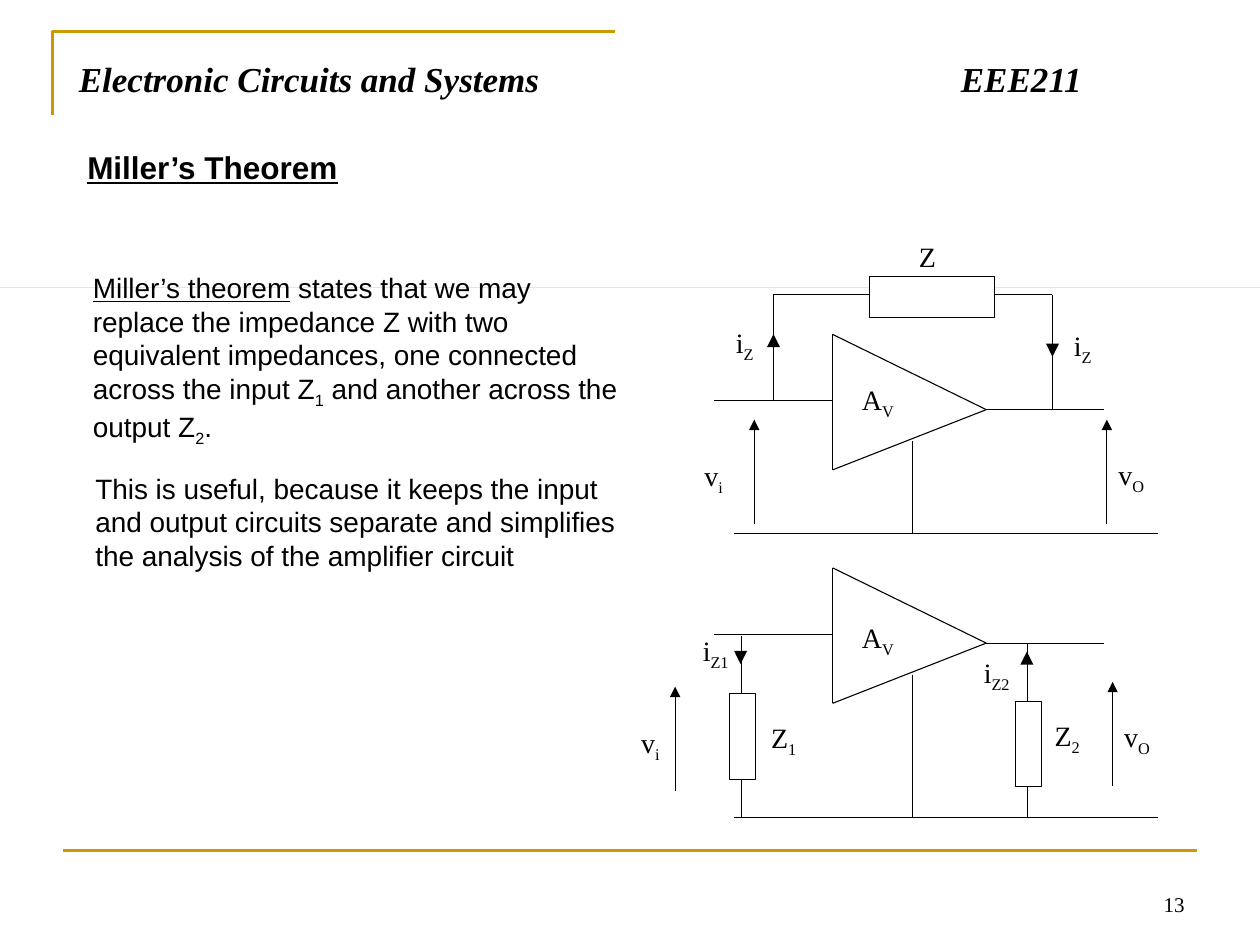
from dataclasses import dataclass

from lxml.etree import SubElement
from pptx import Presentation
from pptx.dml.color import RGBColor
from pptx.enum.shapes import MSO_CONNECTOR, MSO_SHAPE
from pptx.enum.text import MSO_ANCHOR, PP_ALIGN
from pptx.oxml.ns import qn
from pptx.util import Pt


@dataclass(frozen=True)
class Theme:
    ink: RGBColor = RGBColor(0, 0, 0)
    paper: RGBColor = RGBColor(255, 255, 255)
    gold: RGBColor = RGBColor(0xCC, 0x99, 0x00)
    blue: RGBColor = RGBColor(0x00, 0x33, 0xCC)
    serif: str = "Times New Roman"
    sans: str = "Arial"
    title: int = 20
    head: int = 18
    body: int = 16
    small: int = 12
    thin: float = 0.63
    thick: float = 1.5


THEME = Theme()
SUB = "sub"
LINE = "line"


def add_text(slide, box, runs, size, font, bold=False, slant=False, inset=True):
    """Runs are (text, mark) pairs; the mark is None, SUB or LINE."""
    frame = slide.shapes.add_textbox(*map(Pt, box)).text_frame
    frame.word_wrap = True
    if not inset:
        frame.margin_left = frame.margin_right = 0
        frame.margin_top = frame.margin_bottom = 0
    para = frame.paragraphs[0]
    for text, mark in runs:
        run = para.add_run()
        run.text = text
        run.font.name, run.font.size = font, Pt(size)
        run.font.color.rgb = THEME.ink
        run.font.bold, run.font.italic = bold, slant
        run.font.underline = mark == LINE
        if mark == SUB:
            run._r.get_or_add_rPr().set("baseline", "-25000")
    return frame


def add_label(slide, x, y, base, sub=None, width=18):
    runs = [(base, None)] + ([(sub, SUB)] if sub else [])
    add_text(slide, (x, y, width, 19.4), runs, THEME.body, THEME.serif, inset=False)


def add_wire(slide, *points, color=THEME.ink, width=THEME.thin):
    """Join the points with straight lines and return the last one."""
    for start, end in zip(points, points[1:]):
        line = slide.shapes.add_connector(MSO_CONNECTOR.STRAIGHT, *map(Pt, start + end))
        line.line.color.rgb = color
        line.line.width = Pt(width)
        SubElement(line._element.spPr, qn("a:effectLst"))
    return line


def add_arrow(slide, x, top):
    line = add_wire(slide, (x, top), (x, top + 59.8))
    SubElement(line._element.spPr.get_or_add_ln(), qn("a:headEnd"), type="triangle")


def add_tip(slide, x, y, side):
    """Solid arrow tip at x, y; side is 1 for down and -1 for up."""
    back = y - side * 7.4
    pen = slide.shapes.build_freeform(Pt(x - 3.7), Pt(back))
    pen.add_line_segments([(Pt(x), Pt(y)), (Pt(x + 3.7), Pt(back))], close=True)
    tip = pen.convert_to_shape()
    tip.shadow.inherit = False
    tip.fill.solid()
    tip.fill.fore_color.rgb = THEME.ink
    tip.line.fill.background()


def add_block(slide, box, fill=THEME.paper, edge=True):
    block = slide.shapes.add_shape(MSO_SHAPE.RECTANGLE, *map(Pt, box))
    block.shadow.inherit = False
    block.fill.solid()
    block.fill.fore_color.rgb = fill
    if edge:
        block.line.color.rgb = THEME.ink
        block.line.width = Pt(THEME.thin)
    else:
        block.line.fill.background()


def add_amp(slide, top, ground, label):
    """Triangle with its input, output and ground wires."""
    tip = (563.6, top + 43)
    add_wire(slide, (475.8, top), tip, (475.8, top + 77.4), (475.8, top))
    add_wire(slide, (408.2, top + 38), (475.8, top + 38))
    add_wire(slide, tip, (631, top + 43))
    add_wire(slide, (521.2, top + 61), (521.2, ground))
    add_wire(slide, (419.5, ground), (661.7, ground))
    add_label(slide, 492.5, label, "A", "V", width=24)


def add_branch(slide, x, top, ground, block):
    """Vertical wire through an impedance, down to ground."""
    add_wire(slide, (x, top), (x, ground))
    add_block(slide, (x - 6.8, block, 15, 49))


def draw_frame(slide):
    pen = slide.shapes.build_freeform(Pt(30), Pt(66))
    pen.add_line_segments([(Pt(30), Pt(18)), (Pt(351.4), Pt(18))], close=False)
    corner = pen.convert_to_shape()
    corner.shadow.inherit = False
    corner.fill.background()
    corner.line.color.rgb = THEME.gold
    corner.line.width = Pt(THEME.thick)
    add_wire(slide, (36, 486), (684, 486), color=THEME.gold, width=THEME.thick)

    page = add_text(slide, (516, 491.6, 168, 36), [("13", None)], THEME.small, THEME.serif)
    page.vertical_anchor = MSO_ANCHOR.BOTTOM
    page.paragraphs[0].alignment = PP_ALIGN.RIGHT

    title = add_text(slide, (38, 29.3, 642, 44),
                     [("Electronic Circuits and Systems\tEEE211", None)],
                     THEME.title, THEME.serif, bold=True, slant=True)
    tabs = SubElement(title.paragraphs[0]._p.get_or_add_pPr(), qn("a:tabLst"))
    SubElement(tabs, qn("a:tab"), pos=str(Pt(504)), algn="l")
    add_block(slide, (0, 164.2, 720, 0), THEME.blue, edge=False)


def draw_prose(slide):
    add_text(slide, (42.8, 81, 544, 29), [("Miller’s Theorem", LINE)],
             THEME.head, THEME.sans, bold=True)
    add_text(slide, (47.4, 265.8, 314.6, 65), [(
        "This is useful, because it keeps the input and output circuits "
        "separate and simplifies the analysis of the amplifier circuit", None)],
        THEME.body, THEME.sans)
    add_text(slide, (46, 151, 314.6, 104), [
        ("Miller’s theorem", LINE),
        (" states that we may replace the impedance Z with two equivalent "
         "impedances, one connected across the input Z", None),
        ("1", SUB), (" and another across the output Z", None),
        ("2", SUB), (".", None)], THEME.body, THEME.sans)


def draw_bridge(slide):
    """Amplifier with the impedance from input to output."""
    add_amp(slide, 191.1, 304.8, 218.7)
    add_wire(slide, (442, 229.1), (442, 168.4), (496.8, 168.4))
    add_wire(slide, (567.4, 168.4), (601.4, 168.4), (601.4, 234.1))
    add_block(slide, (496.8, 157.8, 71.3, 23.8))
    add_tip(slide, 442, 190.9, -1)
    add_tip(slide, 601.4, 203.8, 1)
    add_arrow(slide, 431, 239.8)
    add_arrow(slide, 632.5, 239.8)
    for label in ((420.5, 185.8, "i", "Z"), (613.6, 188, "i", "Z"),
                  (402.5, 262, "v", "i"), (639, 261.2, "v", "O"),
                  (525, 136.8, "Z")):
        add_label(slide, *label)


def draw_split(slide):
    """Amplifier with one impedance at each side."""
    ground = 467.2
    add_amp(slide, 324.5, ground, 354.5)
    add_branch(slide, 423.6, 363.5, ground, 396.5)
    add_branch(slide, 587.1, 367.8, ground, 400.7)
    add_tip(slide, 423.2, 379.4, 1)
    add_tip(slide, 586.8, 372.4, -1)
    add_arrow(slide, 385.8, 392.4)
    add_arrow(slide, 635.8, 389.6)
    for label in ((366.4, 414.7, "v", "i"), (642.4, 411.2, "v", "O"),
                  (562.2, 374.4, "i", "Z2"), (401.6, 362, "i", "Z1"),
                  (440.6, 411.8, "Z", "1", 29.5), (602.6, 410.4, "Z", "2", 29.5)):
        add_label(slide, *label)


def main():
    deck = Presentation()
    deck.slide_width, deck.slide_height = Pt(720), Pt(540)
    slide = deck.slides.add_slide(deck.slide_layouts[6])
    draw_frame(slide)
    draw_prose(slide)
    draw_bridge(slide)
    draw_split(slide)
    deck.save("out.pptx")


if __name__ == "__main__":
    main()
